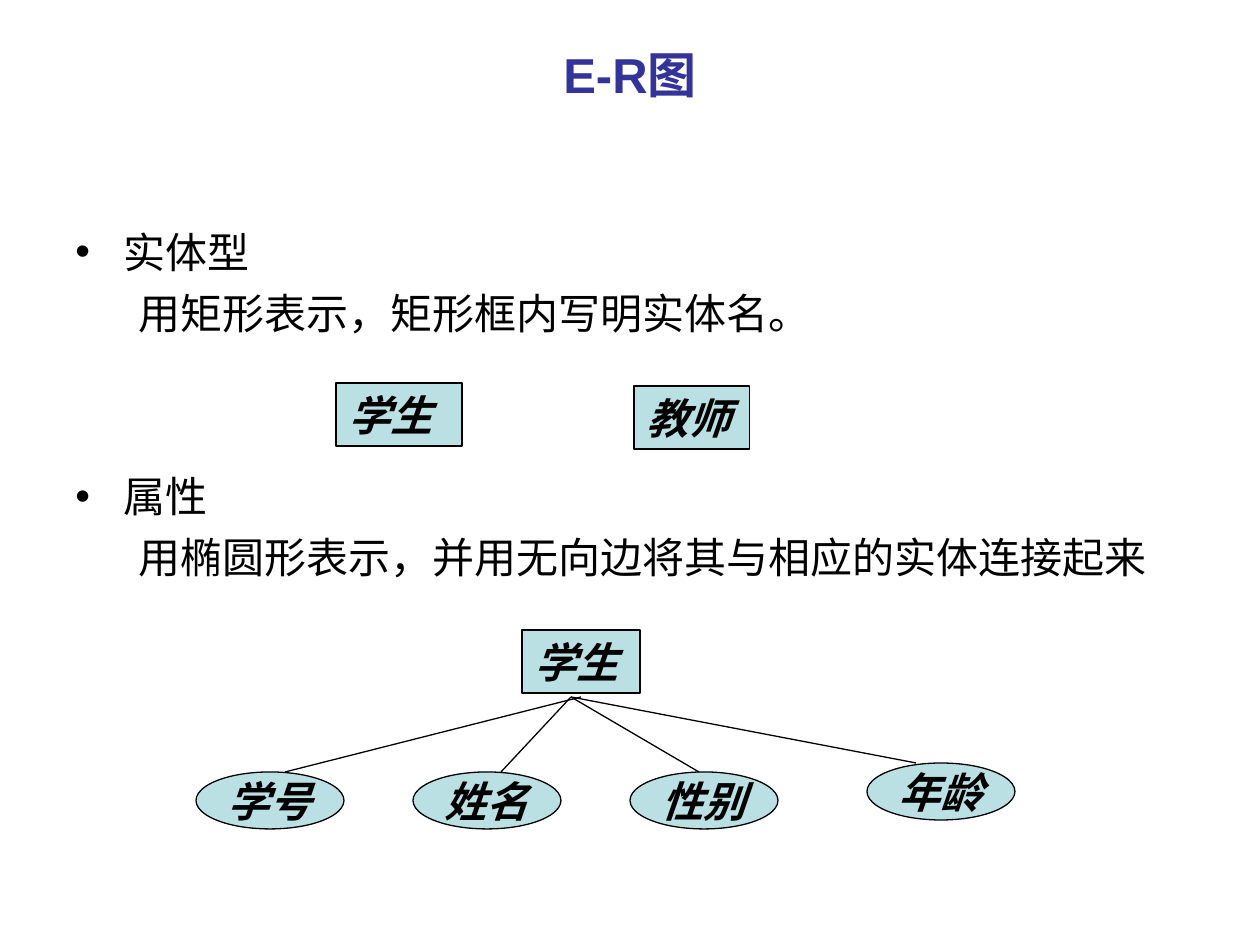
from lxml.etree import SubElement
from pptx import Presentation
from pptx.dml.color import RGBColor
from pptx.enum.shapes import MSO_CONNECTOR, MSO_SHAPE
from pptx.enum.text import MSO_ANCHOR, MSO_AUTO_SIZE, PP_ALIGN
from pptx.oxml.ns import qn
from pptx.util import Pt

EMU_PER_PX = 914400 // 126
BLACK, NAVY, PALE_BLUE = "000000", "333399", "BBE0E3"


def px(*lengths):
    return [length * EMU_PER_PX for length in lengths]


def color(value):
    return RGBColor.from_string(value)


def add_run(paragraph, text, size=24, fill=BLACK, bold=False, italic=False):
    run = paragraph.add_run()
    run.text = text
    font = run.font
    font.name, font.size = "Arial", Pt(size)
    font.bold, font.italic = bold, italic
    font.color.rgb = color(fill)


def add_text_frame(shapes, *box):
    text_frame = shapes.add_textbox(*px(*box)).text_frame
    text_frame.word_wrap = True
    return text_frame


def indent(paragraph, margin, first_line, bullet=None):
    properties = paragraph._p.get_or_add_pPr()
    margin, first_line = px(margin, first_line)
    properties.set("marL", str(margin))
    properties.set("indent", str(first_line))
    if bullet:
        SubElement(properties, qn("a:buFont"), typeface="Arial")
        SubElement(properties, qn("a:buChar"), char=bullet)


def add_topics(text_frame, topics):
    for index, (heading, detail) in enumerate(topics):
        if index == 0:
            paragraph = text_frame.paragraphs[0]
        else:
            paragraph = text_frame.add_paragraph()
            paragraph.space_before = Pt(76)  # room for the entity boxes
        indent(paragraph, 48, -48, "•")
        add_run(paragraph, heading)

        paragraph = text_frame.add_paragraph()
        paragraph.level = 1
        paragraph.space_before = Pt(6)
        indent(paragraph, 102, -39)
        add_run(paragraph, detail)


def add_node(shapes, preset, name, *box):
    shape = shapes.add_shape(preset, *px(*box))
    shape.shadow.inherit = False
    shape.fill.solid()
    shape.fill.fore_color.rgb = color(PALE_BLUE)
    shape.line.color.rgb = color(BLACK)
    shape.line.width = Pt(0.75)
    text_frame = shape.text_frame
    text_frame.margin_left, text_frame.margin_top = Pt(7.2), Pt(3.6)
    text_frame.margin_right, text_frame.margin_bottom = Pt(7.2), Pt(3.6)
    add_run(text_frame.paragraphs[0], name, bold=True, italic=True)
    return text_frame


def add_entity(shapes, name, left, top, width):
    text_frame = add_node(shapes, MSO_SHAPE.RECTANGLE, name, left, top, width, 63)
    text_frame.word_wrap = True
    text_frame.auto_size = MSO_AUTO_SIZE.SHAPE_TO_FIT_TEXT
    text_frame.vertical_anchor = MSO_ANCHOR.TOP
    text_frame.paragraphs[0].alignment = PP_ALIGN.LEFT


def add_attribute(shapes, name, left, top):
    text_frame = add_node(shapes, MSO_SHAPE.OVAL, name, left, top, 148, 57)
    text_frame.word_wrap = False
    text_frame.vertical_anchor = MSO_ANCHOR.MIDDLE
    text_frame.paragraphs[0].alignment = PP_ALIGN.CENTER


def add_edge(shapes, *ends):
    connector = shapes.add_connector(MSO_CONNECTOR.STRAIGHT, *px(*ends))
    connector.line.color.rgb = color(BLACK)
    connector.line.width = Pt(0.75)
    SubElement(connector._element.spPr, qn("a:effectLst"))


def main():
    presentation = Presentation()
    presentation.slide_width, presentation.slide_height = px(1260, 945)
    slide = presentation.slides.add_slide(presentation.slide_layouts[6])
    shapes = slide.shapes

    # Title
    title = add_text_frame(shapes, 63, 38, 1134, 157).paragraphs[0]
    title.alignment = PP_ALIGN.CENTER
    add_run(title, "E-R图", size=28, fill=NAVY, bold=True)

    # Explanations
    add_topics(add_text_frame(shapes, 63, 220, 1134, 624), [
        ("实体型", "用矩形表示，矩形框内写明实体名。"),
        ("属性", "用椭圆形表示，并用无向边将其与相应的实体连接起来"),
    ])

    # Entity examples
    add_entity(shapes, "学生", 336, 383, 126)
    add_entity(shapes, "教师", 634, 386, 116)

    # Entity with its attributes
    diagram = shapes.add_group_shape().shapes
    add_entity(diagram, "学生", 522, 630, 118)
    attributes = [
        ("学号", 196, 772, (581, 697, 285, 772)),
        ("姓名", 413, 772, (571, 697, 501, 772)),
        ("性别", 630, 772, (571, 697, 699, 772)),
        ("年龄", 867, 763, (571, 697, 916, 763)),
    ]
    for name, left, top, edge in attributes:
        add_attribute(diagram, name, left, top)
        add_edge(diagram, *edge)

    presentation.save("out.pptx")


if __name__ == "__main__":
    main()
